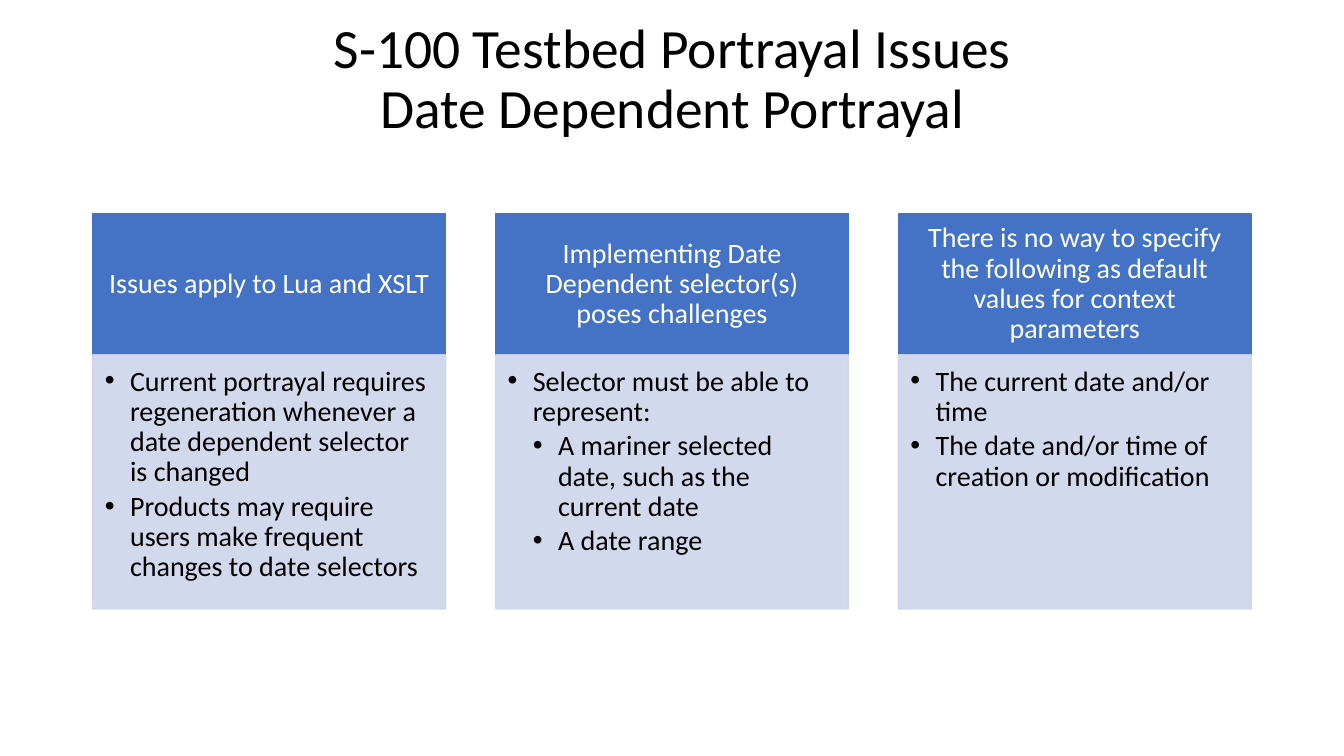
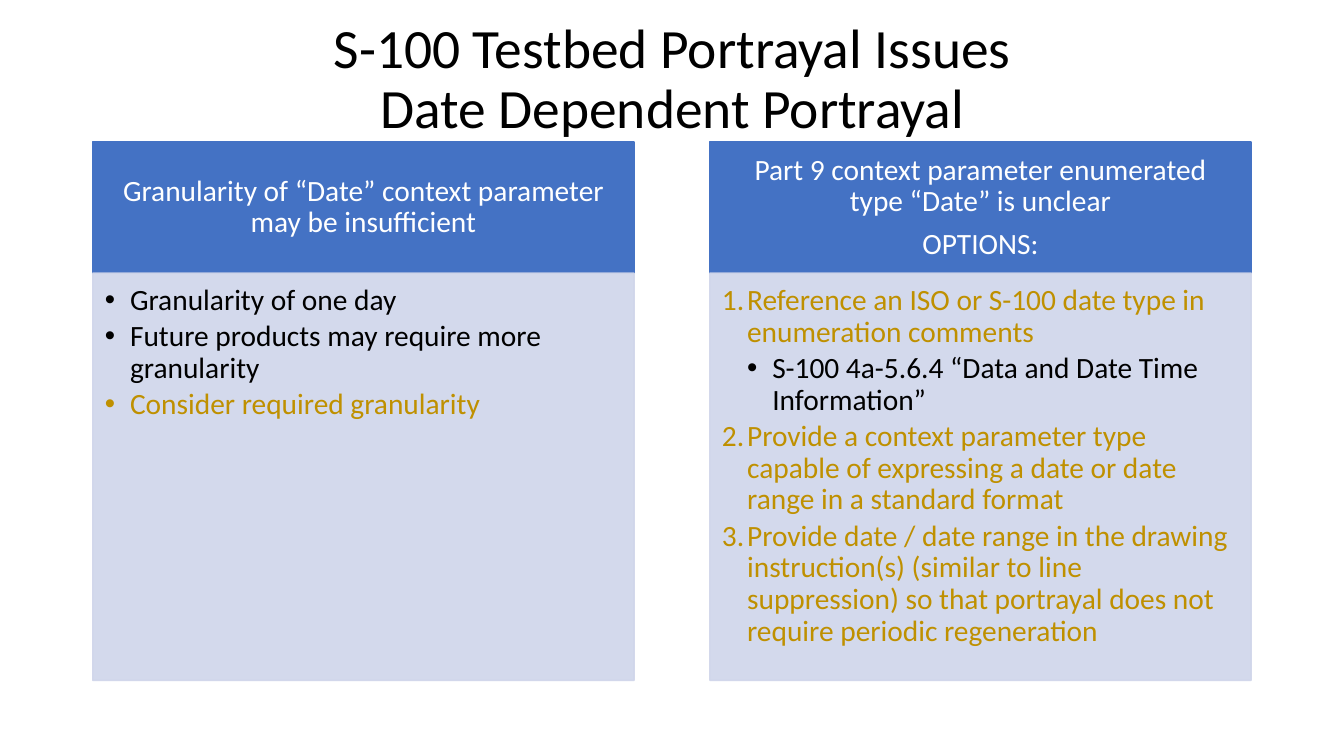
import pptx
import pptx.dml.color
import pptx.enum.shapes
import pptx.enum.text
import pptx.oxml.ns
import pptx.oxml.xmlchemy
import pptx.util
from dataclasses import dataclass
from lxml import etree

Inches = pptx.util.Inches
Pt = pptx.util.Pt
qn = pptx.oxml.ns.qn
ALIGN = pptx.enum.text.PP_ALIGN
ANCHOR = pptx.enum.text.MSO_ANCHOR


@dataclass(frozen=True)
class Theme:
    font: str = "Calibri"
    title_size: float = 39.6
    ink: str = "000000"
    white: str = "FFFFFF"
    header: str = "4472C4"
    body: str = "CFD5EA"
    proposal: str = "BF9000"
    body_alpha: int = 90
    left: float = 0.92
    span: float = 11.49
    indent: float = 0.25
    line_spacing: float = 0.9
    header_gap: float = 0.35
    body_gap: float = 0.15


@dataclass(frozen=True)
class Item:
    text: str
    level: int = 1
    numbered: bool = False
    color: str = Theme.ink


THEME = Theme()
TITLE = "S-100 Testbed Portrayal Issues\nDate Dependent Portrayal"

CHALLENGES = [
    (["Issues apply to Lua and XSLT"], [
        Item("Current portrayal requires regeneration whenever a date dependent selector is changed"),
        Item("Products may require users make frequent changes to date selectors"),
    ]),
    (["Implementing Date Dependent selector(s) poses challenges"], [
        Item("Selector must be able to represent:"),
        Item("A mariner selected date, such as the current date", level=2),
        Item("A date range", level=2),
    ]),
    (["There is no way to specify the following as default values for context parameters"], [
        Item("The current date and/or time"),
        Item("The date and/or time of creation or modification"),
    ]),
]

OPTIONS = [
    (["Granularity of “Date” context parameter may be insufficient"], [
        Item("Granularity of one day"),
        Item("Future products may require more granularity"),
        Item("Consider required granularity", color=THEME.proposal),
    ]),
    (["Part 9 context parameter enumerated type “Date” is unclear", "OPTIONS:"], [
        Item("Reference an ISO or S-100 date type in enumeration comments",
             numbered=True, color=THEME.proposal),
        Item("S-100 4a-5.6.4 “Data and Date Time Information”", level=2),
        Item("Provide a context parameter type capable of expressing a date or date range "
             "in a standard format", numbered=True, color=THEME.proposal),
        Item("Provide date / date range in the drawing instruction(s) (similar to line suppression) "
             "so that portrayal does not require periodic regeneration",
             numbered=True, color=THEME.proposal),
    ]),
]


def rgb(value):
    return pptx.dml.color.RGBColor.from_string(value)


def apply(target, formats):
    for attribute, value in formats.items():
        setattr(target, attribute, value)


def format_frame(frame, anchor, insets):
    sides = ("margin_left", "margin_top", "margin_right", "margin_bottom")
    apply(frame, {
        "word_wrap": True,
        "auto_size": pptx.enum.text.MSO_AUTO_SIZE.NONE,
        "vertical_anchor": anchor,
        **{side: Inches(inset) for side, inset in zip(sides, insets)},
    })


def paragraphs(frame, count):
    yield frame.paragraphs[0]
    for _ in range(count - 1):
        yield frame.add_paragraph()


def write(paragraph, text, size, color, alignment, gap=0):
    paragraph.text = text
    apply(paragraph, {
        "alignment": alignment,
        "line_spacing": THEME.line_spacing,
        "space_before": Pt(0),
        "space_after": Pt(size * gap),
    })
    for run in paragraph.runs:
        apply(run.font, {"name": THEME.font, "size": Pt(size)})
        run.font.color.rgb = rgb(color)


def add_bullet(paragraph, item):
    properties = paragraph._p.get_or_add_pPr()
    properties.set("marL", str(Inches(THEME.indent * item.level)))
    properties.set("indent", str(-Inches(THEME.indent)))
    if item.numbered:
        etree.SubElement(properties, qn("a:buFont"), typeface="+mj-lt")
        etree.SubElement(properties, qn("a:buAutoNum"), type="arabicPeriod")
    else:
        etree.SubElement(properties, qn("a:buFont"), typeface="Arial")
        etree.SubElement(properties, qn("a:buChar"), char="•")


def add_title(slide):
    title = slide.shapes.add_textbox(
        Inches(THEME.left), Inches(0.4), Inches(11.5), Inches(0.79))
    format_frame(title.text_frame, ANCHOR.MIDDLE, (0.1, 0.05, 0.1, 0.05))
    write(title.text_frame.paragraphs[0], TITLE, THEME.title_size, THEME.ink, ALIGN.CENTER)


def add_panel(slide, left, top, width, height, color, alpha=100):
    panel = slide.shapes.add_shape(
        pptx.enum.shapes.MSO_SHAPE.RECTANGLE,
        Inches(left), Inches(top), Inches(width), Inches(height))
    panel.shadow.inherit = False
    panel.fill.solid()
    panel.fill.fore_color.rgb = rgb(color)
    panel.line.color.rgb = rgb(color)
    panel.line.width = Pt(1)
    if alpha < 100:
        for tone in panel._element.spPr.iter(qn("a:srgbClr")):
            etree.SubElement(tone, qn("a:alpha"), val=str(alpha * 1000))
    return panel.text_frame


def add_header(slide, left, top, width, height, lines, size):
    frame = add_panel(slide, left, top, width, height, THEME.header)
    format_frame(frame, ANCHOR.MIDDLE, (0.16, 0.09, 0.16, 0.09))
    for paragraph, line in zip(paragraphs(frame, len(lines)), lines):
        write(paragraph, line, size, THEME.white, ALIGN.CENTER, THEME.header_gap)


def add_body(slide, left, top, width, height, items, size):
    frame = add_panel(slide, left, top, width, height, THEME.body, THEME.body_alpha)
    format_frame(frame, ANCHOR.TOP, (0.12, 0.12, 0.16, 0.17))
    for paragraph, item in zip(paragraphs(frame, len(items)), items):
        paragraph.level = item.level
        write(paragraph, item.text, size, item.color, ALIGN.LEFT, THEME.body_gap)
        add_bullet(paragraph, item)


def add_columns_slide(deck, columns, top, width, header_height, body_height, size):
    slide = deck.slides.add_slide(deck.slide_layouts[6])
    pitch = (THEME.span - width) / (len(columns) - 1)
    for index, (lines, items) in enumerate(columns):
        left = THEME.left + index * pitch
        add_header(slide, left, top, width, header_height, lines, size)
        add_body(slide, left, top + header_height, width, body_height, items, size)
    add_title(slide)


def main():
    deck = pptx.Presentation()
    apply(deck, {"slide_width": Inches(13.33), "slide_height": Inches(7.5)})
    add_columns_slide(deck, CHALLENGES, top=2.12, width=3.5,
                      header_height=1.4, body_height=2.52, size=20)
    add_columns_slide(deck, OPTIONS, top=1.41, width=5.37,
                      header_height=1.3, body_height=4.04, size=21)
    deck.save("out.pptx")


if __name__ == "__main__":
    main()
